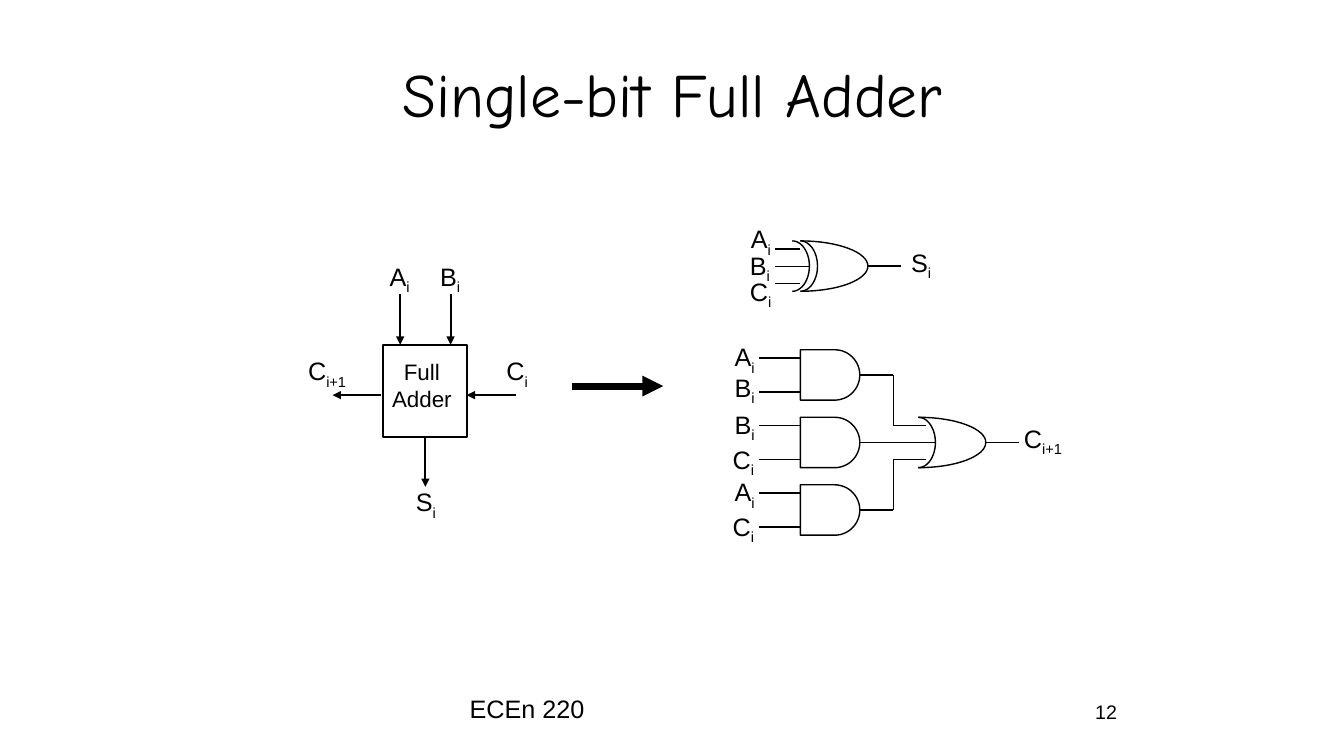
"""Build the Single-bit Full Adder slide."""
from math import cos, pi, sin

from lxml import etree
from pptx import Presentation, util as u
from pptx.dml.color import RGBColor
from pptx.enum import shapes, text
from pptx.oxml.ns import qn

TITLE = ("Single-bit Full Adder", 0.67, 0.3, 12, 1.25)
FOOTER = ("ECEn 220", 4.56, 6.83, 4.22, 0.52)
NUMBER = ("12", 9.26, 6.89, 1.92, 0.42)
ADDER = (3.8, 3.42, 0.83, 0.92)
ADDER_NAME = ("Full\nAdder", 3.79, 3.5, 0.79, 0.64)
ADDER_PINS = [
    ("A", "i", 3.76, 2.56, 0.41), ("B", "i", 4.26, 2.56, 0.41),
    ("C", "i", 4.92, 3.5, 0.42), ("C", "i+1", 2.94, 3.5, 0.61),
    ("S", "i", 4.02, 4.8, 0.41),
]
ADDER_ARROWS = [
    (3.97, 2.92, 3.97, 3.42), (4.47, 2.92, 4.47, 3.42),
    (5.12, 3.92, 4.63, 3.92), (3.78, 3.92, 3.3, 3.92),
    (4.22, 4.33, 4.22, 4.83),
]
BECOMES = (5.67, 3.83, 6.58, 3.83)
GATE_PINS = [
    ("S", "i", 8.94, 2.4, 0.41), ("C", "i+1", 10.06, 4.15, 0.61),
    ("A", "i", 7.35, 2.17, 0.4), ("B", "i", 7.34, 2.43, 0.4),
    ("C", "i", 7.34, 2.69, 0.42),
    ("A", "i", 7.19, 3.34, 0.4), ("B", "i", 7.19, 3.64, 0.4),
    ("B", "i", 7.19, 4.01, 0.4), ("C", "i", 7.17, 4.36, 0.42),
    ("A", "i", 7.19, 4.68, 0.4), ("C", "i", 7.17, 5.02, 0.42),
]
THEME = {
    "ink": RGBColor(0, 0, 0), "title_font": "Comic Neue", "font": "Arial",
    "title": 44, "label": 18, "name": 16, "number": 14,
    "hair": 0.75, "wire": 1, "adder": 1.5, "becomes": 5,
}
GATE_LEFT, JOIN, OR_LEFT, HALF, PIN = 7.94, 8.86, 9.11, 0.25, 0.17
AND_ROWS = [3.72 + 0.67 * row for row in range(3)]
XOR_ROW, OR_ROW = 2.64, AND_ROWS[1]


def cm(*inches):
    return [u.Cm(round(value * 2.54, 3)) for value in inches]


def apply(target, values):
    for key, value in values.items():
        setattr(target, key, value)


def ink_line(line, weight):
    line.color.rgb = THEME["ink"]
    line.width = u.Pt(weight)


def write(frame, lines, size, font, align, frame_format):
    """Fill a frame with lines, each a list of (words, is_subscript)."""
    apply(frame, frame_format)
    for index, pieces in enumerate(lines):
        paragraph = frame.paragraphs[0] if index == 0 else frame.add_paragraph()
        paragraph.alignment = align
        for words, subscript in pieces:
            run = paragraph.add_run()
            run.text = words
            apply(run.font, {"size": u.Pt(size), "name": font})
            run.font.color.rgb = THEME["ink"]
            if subscript:
                run.font._element.set("baseline", "-25000")


def plain(slide, item, size, align, **frame_format):
    words, *place = item
    box = slide.shapes.add_textbox(*cm(*place))
    lines = [[(line, False)] for line in words.split("\n")]
    write(box.text_frame, lines, size, THEME["font"], align, frame_format)


def pin_label(slide, pin, align, anchor):
    letter, index, left, top, width = pin
    box = slide.shapes.add_textbox(*cm(left, top, width, 0.4))
    write(box.text_frame, [[(letter, False), (index, True)]], THEME["label"],
          THEME["font"], align,
          {"word_wrap": False, "vertical_anchor": anchor,
           "auto_size": text.MSO_AUTO_SIZE.SHAPE_TO_FIT_TEXT})


def wire(slide, ends, weight=THEME["wire"], arrow=False):
    connector = slide.shapes.add_connector(
        shapes.MSO_CONNECTOR.STRAIGHT, *cm(*ends))
    ink_line(connector.line, weight)
    properties = connector._element.spPr
    if arrow:
        tip = etree.SubElement(properties.find(qn("a:ln")), qn("a:tailEnd"))
        tip.set("type", "triangle")
    etree.SubElement(properties, qn("a:effectLst"))


def bow(left, middle, reach, steps=32):
    """Return points of a half ellipse that bulges to the right."""
    angles = [pi * (step / steps - 0.5) for step in range(steps + 1)]
    return [(left + reach * cos(a), middle + HALF * sin(a)) for a in angles]


def outline(slide, points, close=False):
    first, *rest = [tuple(cm(*point)) for point in points]
    builder = slide.shapes.build_freeform(*first)
    builder.add_line_segments(rest, close=close)
    curve = builder.convert_to_shape()
    curve.shadow.inherit = False
    curve.fill.background()
    ink_line(curve.line, THEME["wire"])


def and_gate(slide, middle):
    corners = [(GATE_LEFT, middle + HALF), (GATE_LEFT, middle - HALF)]
    outline(slide, corners + bow(8.28, middle, 0.25), close=True)
    for y in (middle - PIN, middle + PIN):
        wire(slide, (GATE_LEFT, y, 7.53, y))
    wire(slide, (JOIN, middle, 8.53, middle))


def or_gate(slide, left, middle, pins_from):
    for reach in (0.17, 0.67):
        outline(slide, bow(left, middle, reach))
    for y in (middle - PIN, middle + PIN):
        wire(slide, (left + (0.08 if left == OR_LEFT else 0), y, pins_from, y))
    wire(slide, (left + 1, middle, left + 0.67, middle))


def main():
    deck = Presentation()
    apply(deck, dict(zip(("slide_width", "slide_height"), cm(13.333, 7.5))))
    slide = deck.slides.add_slide(deck.slide_layouts[5])
    left, center, right = (text.PP_ALIGN.LEFT, text.PP_ALIGN.CENTER,
                           text.PP_ALIGN.RIGHT)
    top, middle = text.MSO_ANCHOR.TOP, text.MSO_ANCHOR.MIDDLE

    heading, *place = TITLE
    title = slide.shapes.title
    apply(title, dict(zip(("left", "top", "width", "height"), cm(*place))))
    write(title.text_frame, [[(heading, False)]], THEME["title"],
          THEME["title_font"], center,
          {"vertical_anchor": middle, "auto_size": text.MSO_AUTO_SIZE.NONE})
    plain(slide, FOOTER, THEME["label"], left, word_wrap=True)
    plain(slide, NUMBER, THEME["number"], right, word_wrap=True)

    for row in AND_ROWS:
        and_gate(slide, row)
    or_gate(slide, OR_LEFT, OR_ROW, JOIN)
    wire(slide, (OR_LEFT + 0.17, OR_ROW, JOIN, OR_ROW))
    or_gate(slide, GATE_LEFT, XOR_ROW, 7.69)
    outline(slide, bow(GATE_LEFT - 0.08, XOR_ROW, 0.17))
    joins = [(JOIN, AND_ROWS[0], JOIN, OR_ROW - PIN),
             (JOIN, OR_ROW + PIN, JOIN, AND_ROWS[2]),
             (7.69, XOR_ROW, 8.03, XOR_ROW)]
    for ends in joins:
        wire(slide, ends, THEME["hair"])
    for pin in GATE_PINS:
        pin_label(slide, pin, left, top)

    wire(slide, BECOMES, THEME["becomes"], arrow=True)
    adder = slide.shapes.add_shape(shapes.MSO_SHAPE.RECTANGLE, *cm(*ADDER))
    adder.shadow.inherit = False
    adder.fill.background()
    ink_line(adder.line, THEME["adder"])
    plain(slide, ADDER_NAME, THEME["name"], center, word_wrap=False,
          vertical_anchor=middle, auto_size=text.MSO_AUTO_SIZE.SHAPE_TO_FIT_TEXT)
    for ends in ADDER_ARROWS:
        wire(slide, ends, THEME["adder"], arrow=True)
    for pin in ADDER_PINS:
        pin_label(slide, pin, center, middle)
    deck.save("out.pptx")


if __name__ == "__main__":
    main()
